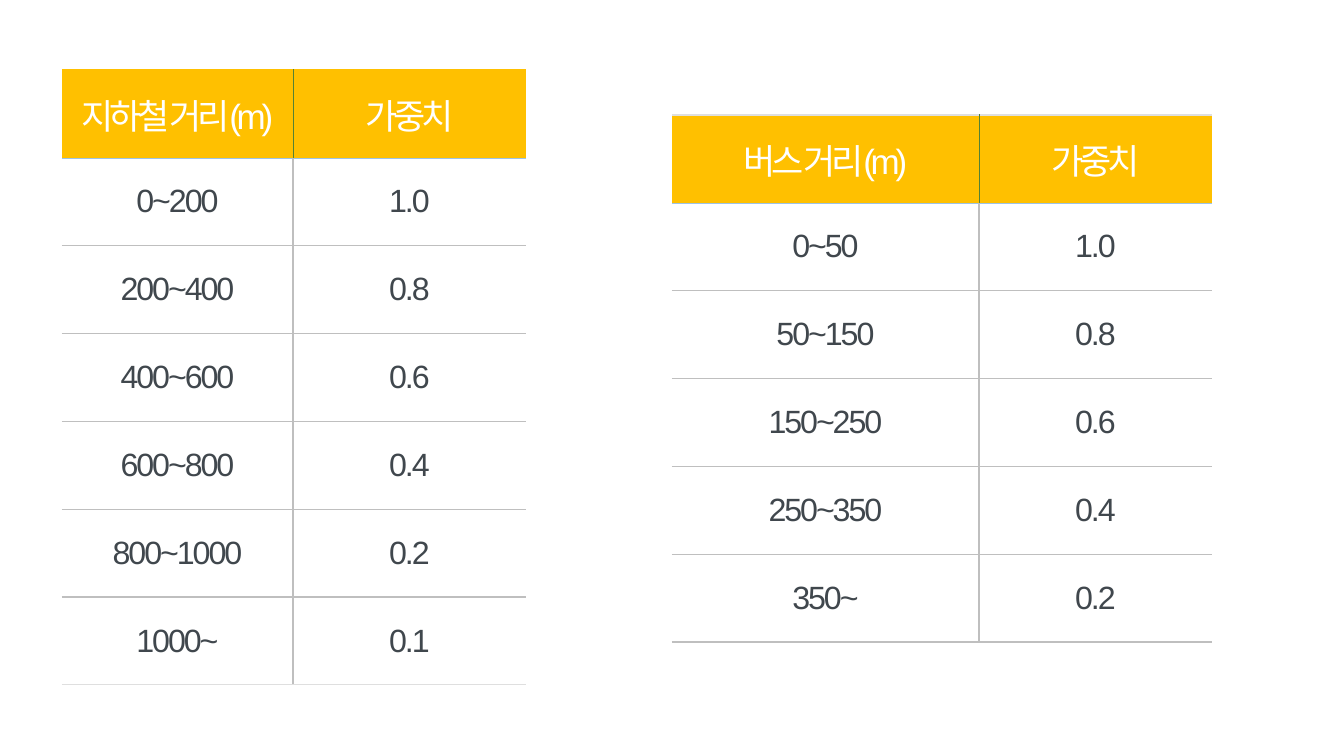
from lxml import etree
from pptx import Presentation
from pptx.dml.color import RGBColor
from pptx.enum.text import MSO_ANCHOR, PP_ALIGN
from pptx.oxml.ns import qn
from pptx.util import Pt

PX = 914400 / 100.8
CENTER = PP_ALIGN.CENTER
MIDDLE = MSO_ANCHOR.MIDDLE
FONT = "Arial"

AMBER = RGBColor(0xFF, 0xC0, 0x00)
WHITE = RGBColor(0xFF, 0xFF, 0xFF)
SLATE = RGBColor(0x40, 0x47, 0x4D)
GREEN = RGBColor(0x54, 0x82, 0x35)
BLUE = RGBColor(0x9D, 0xC3, 0xE6)
GRAY = RGBColor(0xBF, 0xBF, 0xBF)
LIGHT_GRAY = RGBColor(0xDF, 0xDF, 0xDF)

HEADER_DIVIDER = (GREEN, 0.5)
HEADER_RULE = (BLUE, 0.5)
BODY_RULE = (GRAY, 1)

SUBWAY_WEIGHTS = [
    ("지하철 거리(m)", "가중치"),
    ("0~200", "1.0"),
    ("200~400", "0.8"),
    ("400~600", "0.6"),
    ("600~800", "0.4"),
    ("800~1000", "0.2"),
    ("1000~", "0.1"),
]
BUS_WEIGHTS = [
    ("버스 거리(m)", "가중치"),
    ("0~50", "1.0"),
    ("50~150", "0.8"),
    ("150~250", "0.6"),
    ("250~350", "0.4"),
    ("350~", "0.2"),
]


def px(length):
    return round(length * PX)


def set_border(cell, side, rule):
    """Draw one side (L, R, T or B) as (colour, points), or clear it if None."""
    line = etree.SubElement(cell._tc.get_or_add_tcPr(), qn(f"a:ln{side}"))
    if rule is None:
        etree.SubElement(line, qn("a:noFill"))
        return
    color, points = rule
    line.set("w", str(Pt(points)))
    fill = etree.SubElement(line, qn("a:solidFill"))
    etree.SubElement(fill, qn("a:srgbClr")).set("val", str(color))


def fill_cell(cell, text, is_header):
    cell.fill.solid()
    cell.fill.fore_color.rgb = AMBER if is_header else WHITE
    cell.vertical_anchor = MIDDLE
    paragraph = cell.text_frame.paragraphs[0]
    paragraph.alignment = CENTER
    run = paragraph.add_run()
    run.text = text
    run.font.name = FONT
    run.font.size = Pt(25 if is_header else 23)
    run.font.color.rgb = WHITE if is_header else SLATE
    run.font._element.set("spc", "-300" if is_header else "-150")


def add_weight_table(slide, left, top, height, col_widths, weights, top_color, bottom_color):
    table = slide.shapes.add_table(
        len(weights), len(col_widths),
        px(left), px(top), px(sum(col_widths)), px(height),
    ).table
    table.first_row = False
    table.horz_banding = False
    for column, width in zip(table.columns, col_widths):
        column.width = px(width)
    for row in table.rows:
        row.height = px(height / len(weights))

    rules = [(top_color, 1), HEADER_RULE]
    rules += [BODY_RULE] * (len(weights) - 2) + [(bottom_color, 1)]
    for r, row_texts in enumerate(weights):
        divider = HEADER_DIVIDER if r == 0 else BODY_RULE
        for c, text in enumerate(row_texts):
            cell = table.cell(r, c)
            set_border(cell, "L", divider if c > 0 else None)
            set_border(cell, "R", divider if c == 0 else None)
            set_border(cell, "T", rules[r])
            set_border(cell, "B", rules[r + 1])
            fill_cell(cell, text, r == 0)


def main():
    prs = Presentation()
    prs.slide_width, prs.slide_height = px(1344), px(756)
    slide = prs.slides.add_slide(prs.slide_layouts[6])
    add_weight_table(slide, 62, 70, 615, (231, 233), SUBWAY_WEIGHTS, AMBER, LIGHT_GRAY)
    add_weight_table(slide, 672, 115, 527, (307, 233), BUS_WEIGHTS, LIGHT_GRAY, GRAY)
    prs.save("out.pptx")


if __name__ == "__main__":
    main()
